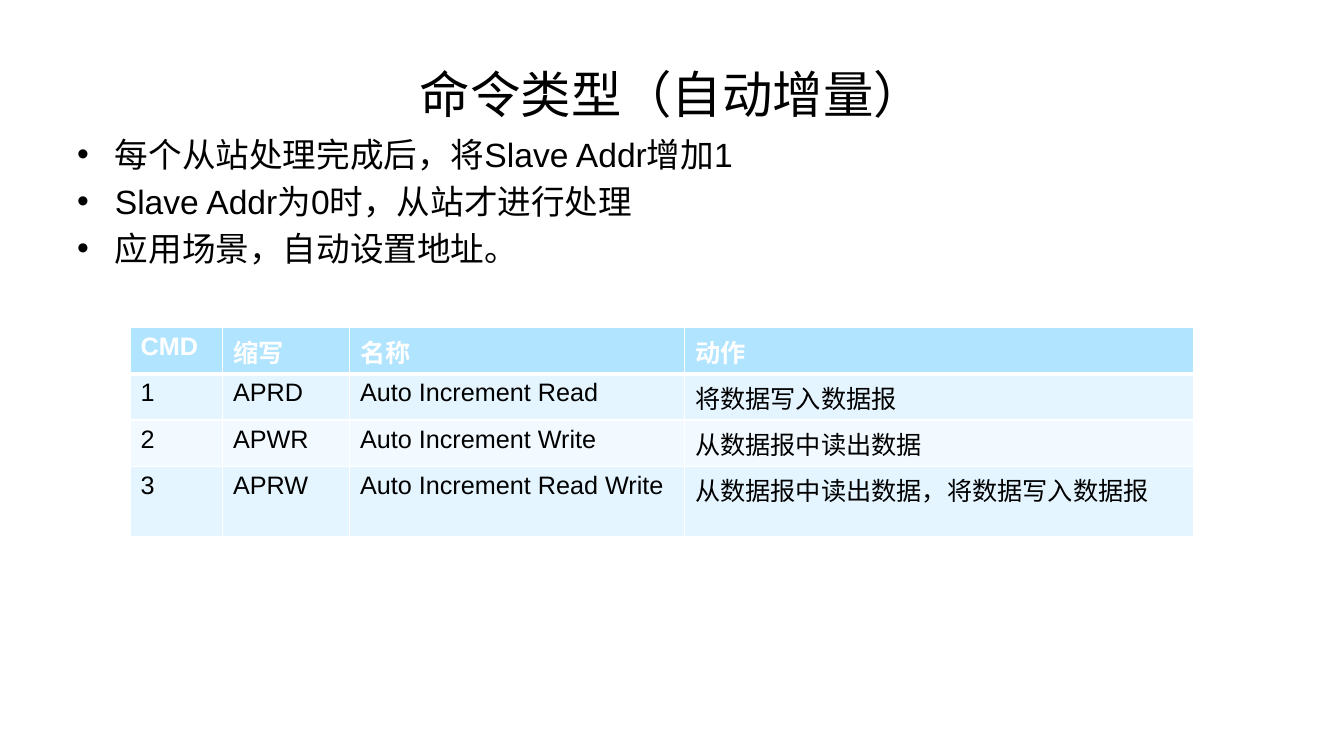
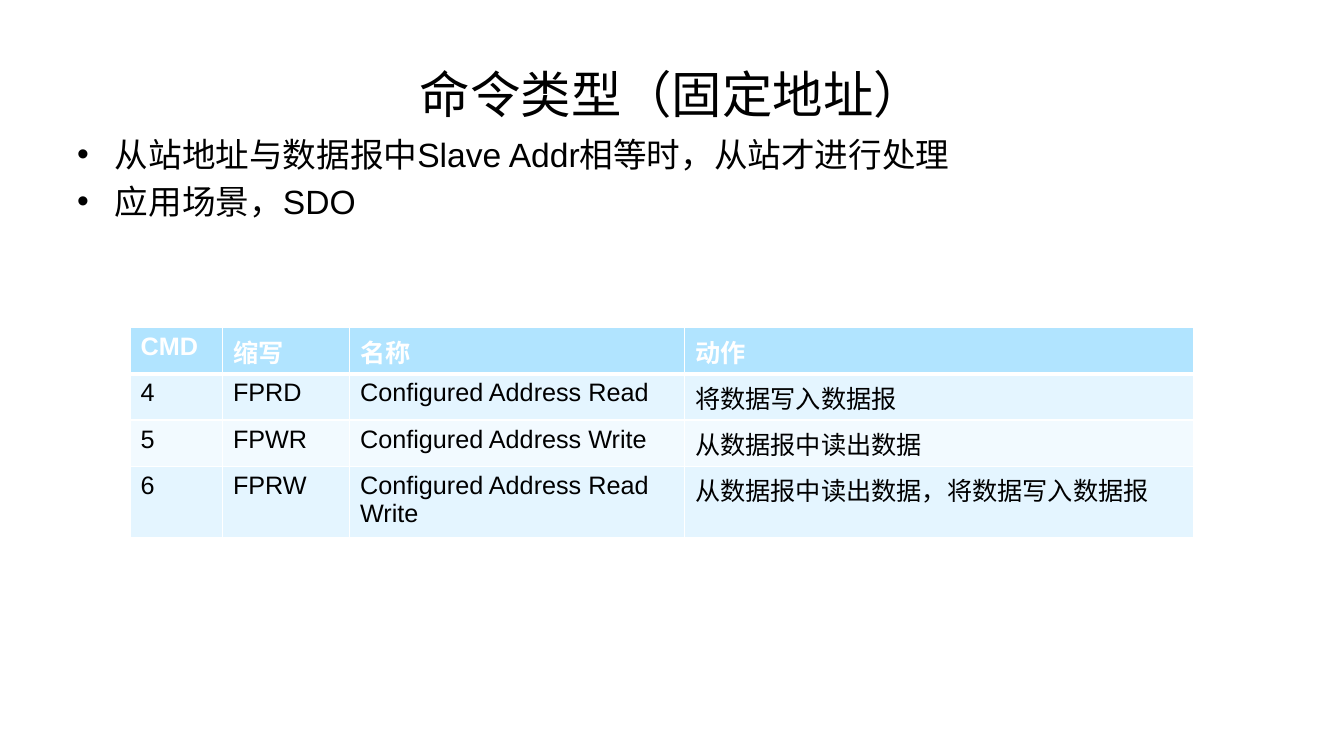
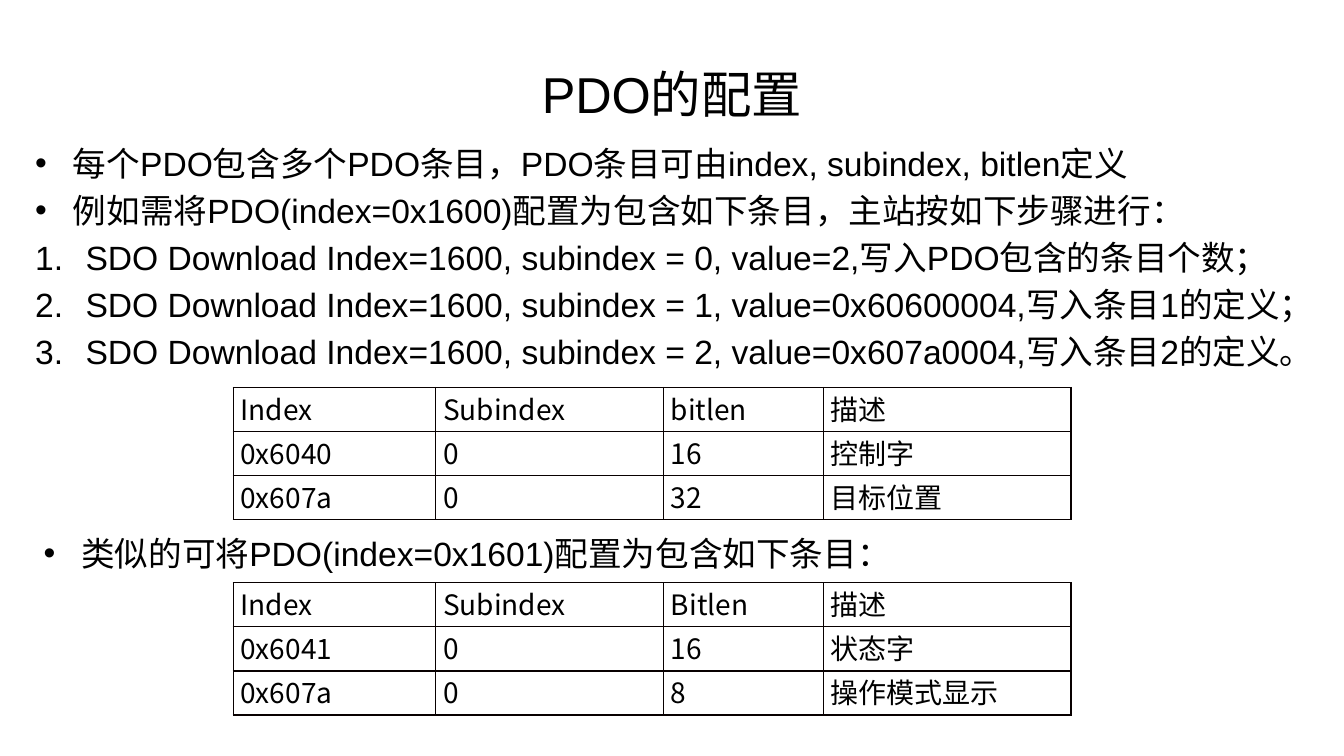
from dataclasses import dataclass

from lxml import etree
from pptx import Presentation
from pptx import util as u
from pptx.dml.color import RGBColor
from pptx.enum import text
from pptx.oxml import ns

PX = 9525
LATIN, CJK = "Arial", "Noto Sans CJK SC"
BLACK, WHITE = "000000", "FFFFFF"


@dataclass(frozen=True)
class Box:
    x: int
    y: int
    w: int
    h: int


@dataclass(frozen=True)
class Item:
    words: str
    numbered: bool = False


@dataclass(frozen=True)
class TableStyle:
    cols: tuple[int, ...]
    rows: tuple[int, ...]
    font: str
    size: int
    border: str
    head_color: str = BLACK
    head_bold: bool = False
    head_rule: int = 1
    fills: tuple[str, ...] = ()
    insets: tuple[int, int] = (10, 5)


TITLE = Box(64, 29, 1152, 120)
COMMAND_BODY = Box(64, 123, 1152, 128)
COMMAND_STYLE = TableStyle(
    (88, 121, 319, 485), (44, 44, 44, 67), LATIN, 18, WHITE,
    WHITE, True, 3, ("B1E4FF", "E4F5FF", "F2FAFF", "E4F5FF"))
ENTRY_STYLE = TableStyle(
    (193, 217, 152, 236), (42, 42, 42), CJK, 20, "080000", insets=(7, 0))
COMMAND_HEAD = ("CMD", "缩写", "名称", "动作")
ACTIONS = ("将数据写入数据报", "从数据报中读出数据", "从数据报中读出数据，将数据写入数据报")


def px(n: int) -> u.Emu:
    return u.Emu(n * PX)


def place(box: Box) -> tuple[u.Emu, ...]:
    return px(box.x), px(box.y), px(box.w), px(box.h)


def rgb(color: str) -> RGBColor:
    return RGBColor.from_string(color)


def sub(parent, tag: str, **attrs: str):
    return etree.SubElement(parent, ns.qn(tag), attrs)


def add_run(p, words: str, size: int, font: str = LATIN, color: str = BLACK, bold: bool = False) -> None:
    r = p.add_run()
    r.text = words
    r.font.size, r.font.name, r.font.bold = u.Pt(size), font, bold
    r.font.color.rgb = rgb(color)
    sub(r._r.get_or_add_rPr(), "a:ea", typeface=CJK)


def new_slide(prs, title: str):
    s = prs.slides.add_slide(prs.slide_layouts[5])
    sp = s.shapes.title
    sp.left, sp.top, sp.width, sp.height = place(TITLE)
    tf = sp.text_frame
    tf.vertical_anchor = text.MSO_ANCHOR.MIDDLE
    tf.auto_size = text.MSO_AUTO_SIZE.NONE
    p = tf.paragraphs[0]
    p.alignment = text.PP_ALIGN.CENTER
    add_run(p, title, 36)
    return s


def add_list(s, box: Box, items: list[Item]) -> None:
    tf = s.shapes.add_textbox(*place(box)).text_frame
    tf.word_wrap = True
    for i, item in enumerate(items):
        p = tf.add_paragraph() if i else tf.paragraphs[0]
        indent = 48 if item.numbered else 36
        pPr = p._p.get_or_add_pPr()
        pPr.set("marL", str(px(indent)))
        pPr.set("indent", str(-px(indent)))
        sub(pPr, "a:buFont", typeface=LATIN)
        if item.numbered:
            sub(pPr, "a:buAutoNum", type="arabicPeriod")
        else:
            sub(pPr, "a:buChar", char="•")
        p.space_before = u.Pt(4.8 if i else 0)
        add_run(p, item.words, 24)


def add_border(cell, side: str, color: str, width: int) -> None:
    ln = sub(cell._tc.get_or_add_tcPr(), f"a:ln{side}", w=str(u.Pt(width)))
    sub(sub(ln, "a:solidFill"), "a:srgbClr", val=color)


def add_grid(s, x: int, y: int, style: TableStyle, data: list[tuple[str, ...]]) -> None:
    box = Box(x, y, sum(style.cols), sum(style.rows))
    table = s.shapes.add_table(len(data), len(style.cols), *place(box)).table
    table.first_row = table.horz_banding = False
    for col, width in zip(table.columns, style.cols):
        col.width = px(width)
    for i, (row, height, words) in enumerate(zip(table.rows, style.rows, data)):
        row.height = px(height)
        rules = {"L": 1, "R": 1,
                 "T": style.head_rule if i == 1 else 1,
                 "B": style.head_rule if i == 0 else 1}
        for cell, word in zip(row.cells, words):
            for side, width in rules.items():
                add_border(cell, side, style.border, width)
            if style.fills:
                cell.fill.solid()
                cell.fill.fore_color.rgb = rgb(style.fills[i])
            else:
                cell.fill.background()
            cell.margin_left = cell.margin_right = px(style.insets[0])
            cell.margin_top = cell.margin_bottom = px(style.insets[1])
            color = BLACK if i else style.head_color
            add_run(cell.text_frame.paragraphs[0], word, style.size,
                    style.font, color, style.head_bold and i == 0)


def command_slide(prs, kind: str, points: list[str], first: int, prefix: str, name: str) -> None:
    s = new_slide(prs, f"命令类型（{kind}）")
    add_list(s, COMMAND_BODY, [Item(point) for point in points])
    modes = (("RD", "Read"), ("WR", "Write"), ("RW", "Read Write"))
    rows = [(str(first + i), prefix + short, f"{name} {mode}", action)
            for i, ((short, mode), action) in enumerate(zip(modes, ACTIONS))]
    add_grid(s, 124, 312, COMMAND_STYLE, [COMMAND_HEAD, *rows])


def pdo_slide(prs) -> None:
    s = new_slide(prs, "PDO的配置")
    steps = ("0, value=2,写入PDO包含的条目个数；",
             "1, value=0x60600004,写入条目1的定义；",
             "2, value=0x607a0004,写入条目2的定义。")
    add_list(s, Box(24, 131, 1233, 366), [
        Item("每个PDO包含多个PDO条目，PDO条目可由index, subindex, bitlen定义"),
        Item("例如需将PDO(index=0x1600)配置为包含如下条目，主站按如下步骤进行："),
        *(Item(f"SDO Download Index=1600, subindex = {step}", True) for step in steps)])
    add_grid(s, 222, 369, ENTRY_STYLE, [
        ("Index", "Subindex", "bitlen", "描述"),
        ("0x6040", "0", "16", "控制字"),
        ("0x607a", "0", "32", "目标位置")])
    add_list(s, Box(32, 503, 1171, 63), [Item("类似的可将PDO(index=0x1601)配置为包含如下条目：")])
    add_grid(s, 222, 555, ENTRY_STYLE, [
        ("Index", "Subindex", "Bitlen", "描述"),
        ("0x6041", "0", "16", "状态字"),
        ("0x607a", "0", "8", "操作模式显示")])


def main() -> None:
    prs = Presentation()
    prs.slide_width, prs.slide_height = px(1280), px(720)
    command_slide(prs, "自动增量", [
        "每个从站处理完成后，将Slave Addr增加1",
        "Slave Addr为0时，从站才进行处理",
        "应用场景，自动设置地址。"], 1, "AP", "Auto Increment")
    command_slide(prs, "固定地址", [
        "从站地址与数据报中Slave Addr相等时，从站才进行处理",
        "应用场景，SDO"], 4, "FP", "Configured Address")
    pdo_slide(prs)
    prs.save("out.pptx")


if __name__ == "__main__":
    main()
